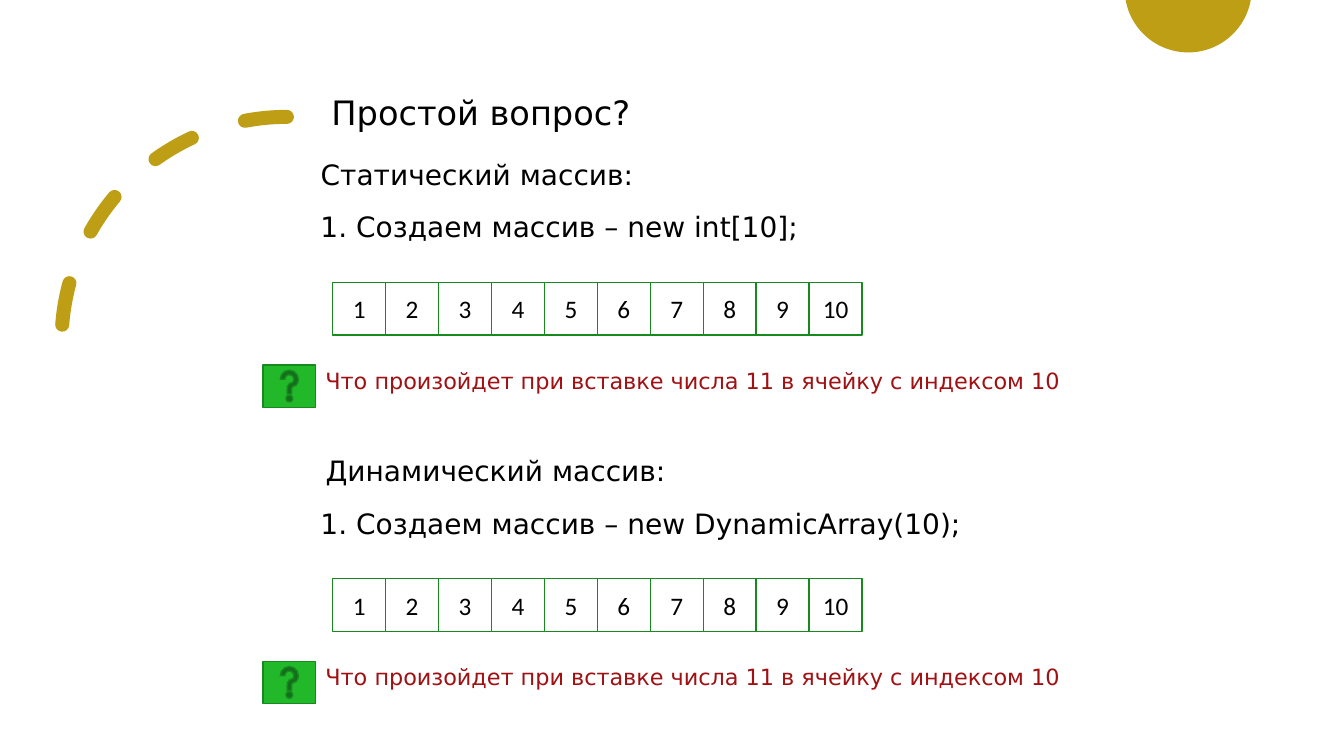
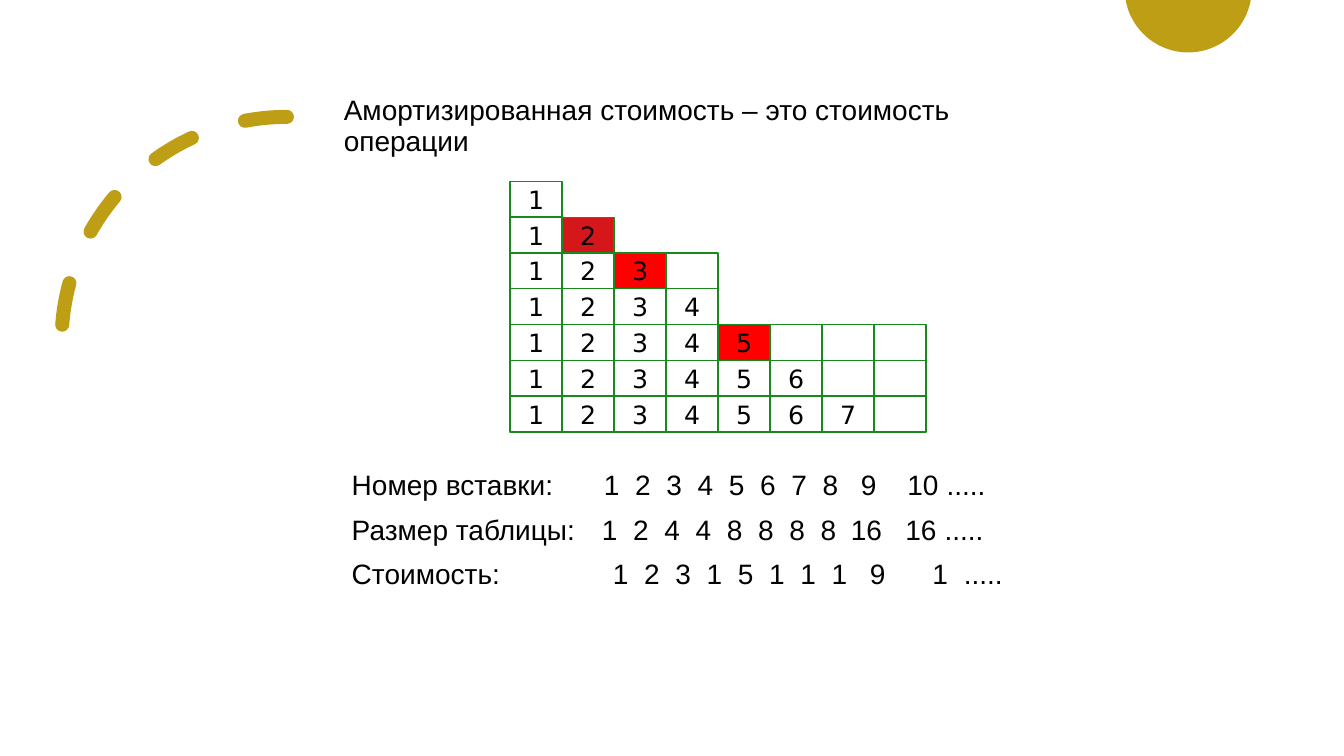
import math
from pptx import Presentation, util as u
from pptx.dml.color import RGBColor
from pptx.enum import dml, shapes, text
from pptx.oxml.ns import qn
from lxml import etree

GOLD = RGBColor(0xBE, 0x9E, 0x15)
GREEN = RGBColor(0x21, 0xB9, 0x2A)
DARK_GREEN = RGBColor(0x18, 0x89, 0x1F)
DARK_RED = RGBColor(0xA0, 0x11, 0x14)
CRIMSON = RGBColor(0xD5, 0x17, 0x1B)
RED = RGBColor(0xFF, 0x00, 0x00)
WHITE = RGBColor(0xFF, 0xFF, 0xFF)
BLACK = RGBColor(0x00, 0x00, 0x00)

# Text formats: font name, size, colour
TITLE = ("DejaVu Sans", 24, BLACK)
BODY = ("DejaVu Sans", 20, BLACK)
QUESTION = ("DejaVu Sans", 16, DARK_RED)
ARIAL = ("Arial", 20, BLACK)
INDEX = ("Calibri", 18, BLACK)
NUMBER = ("DejaVu Sans", 18, BLACK)
LEFT, CENTER = text.PP_ALIGN.LEFT, text.PP_ALIGN.CENTER
TOP, BOTTOM = text.MSO_ANCHOR.TOP, text.MSO_ANCHOR.BOTTOM


def write(sp, box, lines, fmt, align=LEFT, anchor=TOP, before=10):
    """Place a text shape and fill it with formatted paragraphs."""
    for key, value in zip(("left", "top", "width", "height"), box):
        setattr(sp, key, u.Inches(value))
    tf = sp.text_frame
    frame = {"word_wrap": True, "auto_size": text.MSO_AUTO_SIZE.NONE, "vertical_anchor": anchor}
    for key, value in frame.items():
        setattr(tf, key, value)
    tf.text = "\n".join(lines)
    name, size, color = fmt
    for p in tf.paragraphs:
        para = {"alignment": align, "line_spacing": 0.9, "space_before": u.Pt(before)}
        for key, value in para.items():
            setattr(p, key, value)
        for r in p.runs:
            r.font.name, r.font.size = name, u.Pt(size)
            r.font.color.rgb = color
    return tf


def add_box(s, box, fill, label="", fmt=NUMBER, kind=shapes.MSO_SHAPE.RECTANGLE):
    """Add a green-outlined shape, with a centred label if there is one."""
    sp = s.shapes.add_shape(kind, *map(u.Inches, box))
    sp.shadow.inherit = False
    sp.fill.solid()
    sp.fill.fore_color.rgb = fill
    sp.line.color.rgb = DARK_GREEN
    sp.line.width = u.Pt(1)
    if label:
        tf = write(sp, box, [label], fmt, CENTER, text.MSO_ANCHOR.MIDDLE, 0)
        tf.paragraphs[0].line_spacing = 1.0


prs = Presentation()
prs.slide_width, prs.slide_height = u.Inches(13.33), u.Inches(7.5)
layout = prs.slide_layouts[0]
s = prs.slides.add_slide(layout)

# Shared decoration: disc cut by the top edge, dashed arc
cx, cy, radius = 11.785, -0.11, 0.63
start = math.asin(-cy / radius)
angles = [start + (math.pi - 2 * start) * i / 60 for i in range(61)]
points = [(u.Inches(cx + radius * math.cos(a)), u.Inches(cy + radius * math.sin(a)))
          for a in angles]
builder = s.shapes.build_freeform(*points[0])
builder.add_line_segments(points[1:], close=True)
disc = builder.convert_to_shape()
disc.fill.solid()
disc.fill.fore_color.rgb = GOLD
disc.line.fill.background()

arc = s.shapes.add_shape(shapes.MSO_SHAPE.ARC, *map(u.Inches, (0.61, 1.16, 4.47, 4.47)))
arc.rotation = 180
arc._element.spPr.find(qn("a:xfrm")).set("flipV", "1")
arc.fill.background()
arc.line.color.rgb = GOLD
arc.line.width = u.Pt(10)
arc.line.dash_style = dml.MSO_LINE.DASH
arc._element.spPr.find(qn("a:ln")).set("cap", "rnd")

# The decoration belongs to the layout, behind its placeholders
for i, sp in enumerate((disc, arc)):
    sp.shadow.inherit = False
    sp._element.nvSpPr.cNvPr.set("id", str(100 + i))
    layout.shapes._spTree.insert(2 + i, sp._element)

# Slide 1: static and dynamic arrays
write(s.shapes.title, (2.87, 0.7, 3.8, 0.67), ["Простой вопрос?"], TITLE, CENTER, BOTTOM, 0)
arrays = [
    (s.placeholders[1], 3.08, 1.55, "Статический массив:", "new int[10];"),
    (s.shapes.add_textbox(0, 0, 0, 0), 3.13, 4.49, "Динамический массив:",
     "new DynamicArray(10);"),
]
for heading, x, y, caption, code in arrays:
    write(heading, (x, y, 3.59, 0.52), [caption], BODY)
    write(s.shapes.add_textbox(0, 0, 0, 0), (3.08, y + 0.52, 6.75, 0.52),
          [f"1. Создаем массив – {code}"], BODY)
    side = 5.25 / 10
    for i in range(10):
        add_box(s, (3.3 + i * side, y + 1.25, side, side), WHITE, str(i + 1), INDEX)
    write(s.shapes.add_textbox(0, 0, 0, 0), (3.13, y + 2.07, 8.66, 0.42),
          ["Что произойдет при вставке числа 11 в ячейку с индексом 10"], QUESTION)
    add_box(s, (2.61, y + 2.07, 0.52, 0.42), GREEN,
            kind=shapes.MSO_SHAPE.ACTION_BUTTON_HELP)

# Slide 2: amortized cost
s = prs.slides.add_slide(layout)
subtitle = s.placeholders[1]._element
subtitle.getparent().remove(subtitle)
write(s.shapes.title, (3.31, 0.91, 7.15, 0.43),
      ["Амортизированная стоимость – это стоимость операции"], ARIAL)

# Growth of the table: capacity after each insertion, red where it is rebuilt
cell_w, cell_h = 3.61 / 7, 2.13 / 6
rebuilt = {2: CRIMSON, 3: RED, 5: RED}
for row, capacity in enumerate((1, 2, 4, 4, 8, 8, 8)):
    count = row + 1
    for col in range(capacity):
        n = col + 1
        fill = rebuilt.get(count, WHITE) if n == count else WHITE
        add_box(s, (5.06 + col * cell_w, 1.8 + row * cell_h, cell_w, cell_h),
                fill, str(n) if n <= count else "")

# Cost summary: label, values, first tab stop, last three tab stops
summary = [
    ("Номер вставки:", "1 2 3 4 5 6 7 8 9 10 .....", 2.5, (5.05, 5.51, 5.9)),
    ("Размер таблицы:", "1 2 4 4 8 8 8 8 16 16 .....", 2.48, (4.95, 5.49, 5.88)),
    ("Стоимость:", "1 2 3 1 5 1 1 1 9 1 .....", 2.59, (5.14, 5.76, 6.07)),
]
tf = write(s.shapes.add_textbox(0, 0, 0, 0), (3.39, 4.63, 7.15, 1.4),
           ["\t".join([label, *values.split()]) for label, values, *_ in summary], ARIAL)
for p, (_, _, first, last) in zip(tf.paragraphs, summary):
    tabs = etree.SubElement(p._p.get_or_add_pPr(), qn("a:tabLst"))
    for pos in [first + 0.31 * i for i in range(8)] + list(last):
        etree.SubElement(tabs, qn("a:tab"), pos=str(u.Inches(pos)), algn="l")

prs.save("out.pptx")
